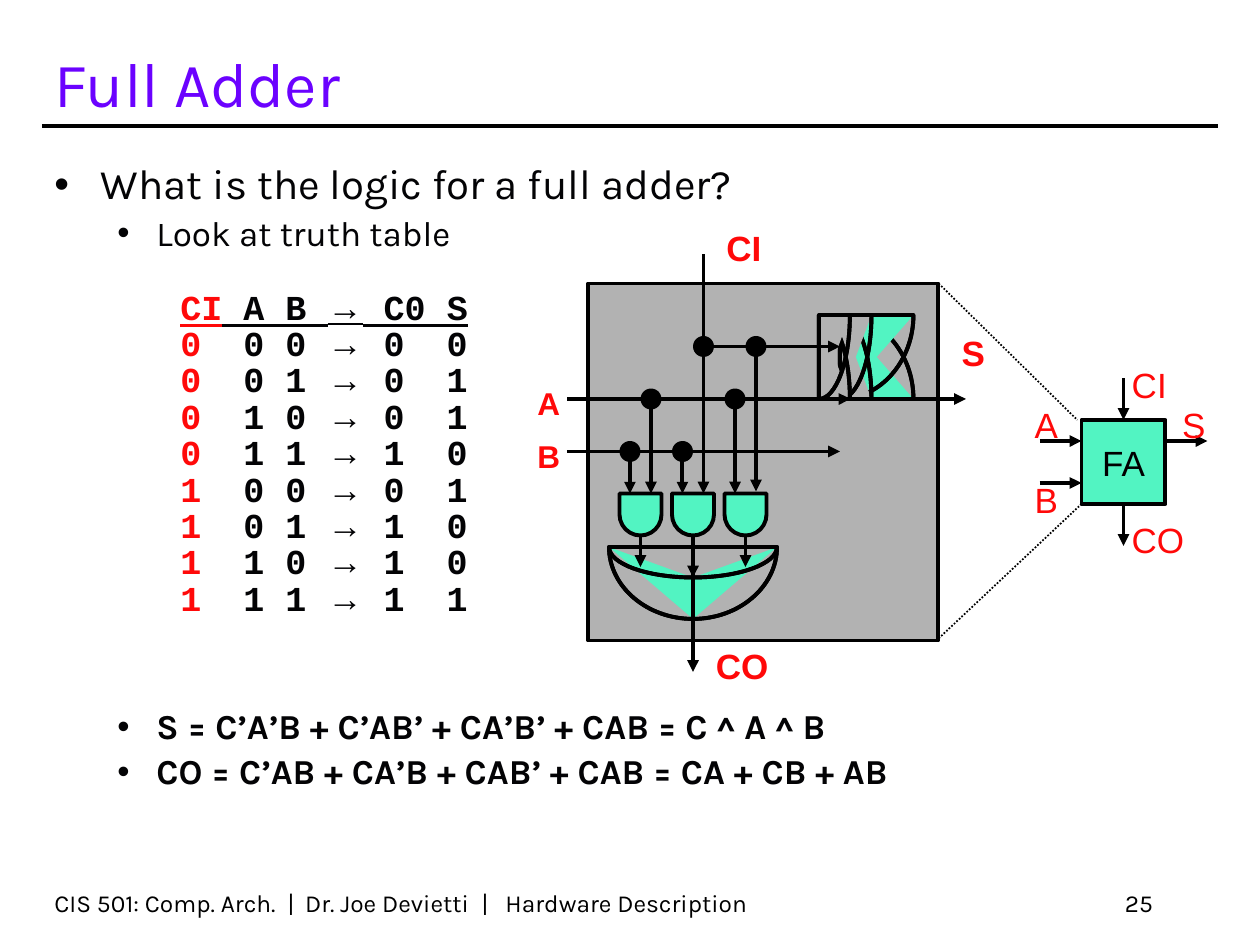
from lxml import etree
from pptx import Presentation
from pptx import util as u
from pptx.dml.color import RGBColor
from pptx.enum import dml, shapes, text
from pptx.oxml.ns import qn

COLUMNS = 120
ARC = 0.55  # handle length of a curve that follows a quarter ellipse
BLACK, INK, RED = "000000", "030305", "FF0909"
GREEN, GRAY, PURPLE = "52F4C2", "B2B2B2", "6B02FF"
TOP, BOTTOM, MIDDLE = text.MSO_ANCHOR.TOP, text.MSO_ANCHOR.BOTTOM, text.MSO_ANCHOR.MIDDLE
CENTER, RIGHT = text.PP_ALIGN.CENTER, text.PP_ALIGN.RIGHT


def rgb(color):
    return RGBColor.from_string(color)


class Board:
    """Draws on one slide; places and sizes are grid columns and rows."""

    def __init__(self, deck):
        self.slide = deck.slides.add_slide(deck.slide_layouts[6])
        self.shapes = self.slide.shapes
        self.unit = deck.slide_width / COLUMNS

    def span(self, *cells):
        return [u.Emu(round(cell * self.unit)) for cell in cells]

    def stroke(self, line, arrow=False, width=2.25, dotted=False):
        line.color.rgb = rgb(BLACK)
        line.width = u.Pt(width)
        if dotted:
            line.dash_style = dml.MSO_LINE.ROUND_DOT
        if arrow:
            ends = line._get_or_add_ln()
            etree.SubElement(ends, qn("a:tailEnd"), type="triangle")

    def wire(self, start, end, **stroke):
        wire = self.shapes.add_connector(
            shapes.MSO_CONNECTOR.STRAIGHT, *self.span(*start, *end))
        self.stroke(wire.line, **stroke)
        etree.SubElement(wire._element.spPr, qn("a:effectLst"))
        return wire

    def solid(self, kind, place, fill, outlined=True, turn=0):
        solid = self.shapes.add_shape(kind, *self.span(*place))
        solid.shadow.inherit = False
        solid.rotation = turn
        solid.fill.solid()
        solid.fill.fore_color.rgb = rgb(fill)
        if outlined:
            self.stroke(solid.line)
        else:
            solid.line.fill.background()
        return solid

    def dot(self, column, row):
        self.solid(shapes.MSO_SHAPE.FLOWCHART_CONNECTOR,
                   (column - 1, row - 1, 2, 2), BLACK, outlined=False)

    def elbow(self, start, turn_column, end_row):
        """An arrow that runs right and then down."""
        corner, end = (turn_column, start[1]), (turn_column, end_row)
        path = self.shapes.build_freeform(*self.span(*start))
        path.add_line_segments([self.span(*corner), self.span(*end)], close=False)
        elbow = path.convert_to_shape()
        elbow.shadow.inherit = False
        elbow.fill.background()
        self.stroke(elbow.line, arrow=True)

    def quarter(self, corner, dx, dy, fill):
        """A quarter ellipse: its arc, then the arc closed through the corner."""
        x, y = corner
        start, *arc = [self.span(x + dx * across, y + dy * down) for across, down in
                       ((0, 1), (ARC, 1), (1, ARC), (1, 0))]
        path = self.shapes.build_freeform(*start)
        path.add_line_segments(arc, close=False)
        path.move_to(*start)
        path.add_line_segments(arc + [self.span(x, y)], close=True)
        quarter = path.convert_to_shape()
        self.bend(quarter)
        quarter.shadow.inherit = False
        quarter.fill.solid()
        quarter.fill.fore_color.rgb = rgb(fill)
        self.stroke(quarter.line)

    def bend(self, outline):
        """Turn the three segments after each move into one curve."""
        for move in list(outline._element.iter(qn("a:moveTo"))):
            segments = list(move.itersiblings())[:3]
            curve = etree.Element(qn("a:cubicBezTo"))
            move.addnext(curve)
            for segment in segments:
                curve.append(segment[0])
                segment.getparent().remove(segment)

    def box(self, place, wrap=True, anchor=TOP):
        frame = self.shapes.add_textbox(*self.span(*place)).text_frame
        frame.word_wrap = wrap
        frame.vertical_anchor = anchor
        return frame

    def style(self, font, size, face, color, bold=False, underline=False):
        font.size, font.name = u.Pt(size), face
        font.color.rgb = rgb(color)
        font.bold, font.underline = bold, underline

    def caption(self, place, words, size, color, face="Karla", bold=False,
                wrap=True, anchor=BOTTOM, align=None, tabs=()):
        line = self.box(place, wrap, anchor).paragraphs[0]
        line.text = words
        line.alignment = align
        if tabs:
            stops = etree.SubElement(line._p.get_or_add_pPr(), qn("a:tabLst"))
            for stop in tabs:
                etree.SubElement(stops, qn("a:tab"), pos=str(u.Inches(stop)), algn="l")
        for run in line.runs:
            self.style(run.font, size, face, color, bold)

    def label(self, column, row, words, size=20, bold=False):
        width = {"CI": 5.75, "CO": 7.4}.get(words, 4.5)
        self.caption((column, row, width, 5.2), words, size, RED, "Arial", bold,
                     wrap=False, anchor=TOP)

    def paragraph(self, frame, margin, hang, spacing, before):
        first = not frame.paragraphs[0].runs
        line = frame.paragraphs[0] if first else frame.add_paragraph()
        layout = line._p.get_or_add_pPr()
        layout.set("marL", str(u.Inches(margin)))
        layout.set("indent", str(-u.Inches(hang)))
        line.line_spacing = spacing
        line.space_before = u.Pt(before)
        return line

    def bullet(self, frame, words, level=1, before=4, bold=False):
        margin, hang, size = [(0.37, 0.37, 24), (0.81, 0.31, 20)][level]
        line = self.paragraph(frame, margin, hang, 0.9, before)
        line.level = level
        layout = line._p.get_or_add_pPr()
        tint = etree.SubElement(layout, qn("a:buClr"))
        etree.SubElement(tint, qn("a:srgbClr"), val=INK)
        etree.SubElement(layout, qn("a:buFont"), typeface="Arial")
        etree.SubElement(layout, qn("a:buChar"), char="•")
        run = line.add_run()
        run.text = words
        self.style(run.font, size, "Karla", INK, bold)

    def truth_row(self, frame, carry, inputs, out, total, heading=False):
        """Digits marked wide fill the width of two characters."""
        line = self.paragraph(frame, 1.25, 0.25, 0.7, 24.4 if heading else 4)
        mono = "Courier New"
        for words, face, color, wide in ((carry, mono, RED, not heading),
                                         (f" {inputs} ", mono, INK, False),
                                         ("→", "Arial", INK, False),
                                         (" ", mono, INK, False),
                                         (out, mono, INK, not heading),
                                         (f" {total}", mono, INK, False)):
            run = line.add_run()
            run.text = words
            bold = not (heading and words == "→")
            self.style(run.font, 20, face, color, bold, heading)
            if wide:
                run.font._element.set("spc", "1200")


def draw_text(board):
    board.wire((4, 12), (116, 12))
    board.caption((4, 84, 75, 4), "CIS 501: Comp. Arch.\t|\tDr. Joe Devietti\t|\tHardware Description",
                  14, BLACK, tabs=(1.85, 1.99, 3.39, 3.58))
    board.caption((86, 84, 25, 4), "25", 14, BLACK, align=RIGHT)
    board.caption((4, 3, 106, 9), "Full Adder", 36, PURPLE)
    body = board.box((4, 15, 103, 67))
    board.bullet(body, "What is the logic for a full adder?", level=0, before=0)
    board.bullet(body, "Look at truth table")
    board.truth_row(body, "CI", "A B", "C0", "S", heading=True)
    for number in range(8):
        c, a, b = number >> 2, number >> 1 & 1, number & 1
        carry_out, total = divmod(a + b + c, 2)
        board.truth_row(body, str(c), f"{a} {b}", str(carry_out), total)
    board.bullet(body, "S = C’A’B + C’AB’ + CA’B’ + CAB = C ^ A ^ B", before=52.8, bold=True)
    board.bullet(body, "CO = C’AB + CA’B + CAB’ + CAB = CA + CB + AB", bold=True)


def draw_adder_symbol(board):
    symbol = board.solid(shapes.MSO_SHAPE.RECTANGLE, (103, 40, 8, 8), GREEN)
    frame = symbol.text_frame
    frame.text, frame.word_wrap, frame.vertical_anchor = "FA", False, MIDDLE
    frame.paragraphs[0].alignment = CENTER
    board.style(frame.paragraphs[0].runs[0].font, 20, "Arial", BLACK)
    for start_column, row in ((99, 42), (99, 46), (111, 42)):
        board.wire((start_column, row), (start_column + 4, row), arrow=True)
    board.wire((107, 48), (107, 52), arrow=True).begin_connect(symbol, 2)
    board.wire((107, 36), (107, 40), arrow=True).end_connect(symbol, 0)
    for column, row, words in ((97.35, 45, "B"), (111.4, 37.8, "S"), (106.6, 48.8, "CO"),
                               (97.35, 37.8, "A"), (106.6, 34, "CI")):
        board.label(column, row, words)


def draw_circuit(board):
    board.solid(shapes.MSO_SHAPE.RECTANGLE, (56, 27, 33.35, 34), GRAY)
    for gate in (59, 64, 69):
        board.solid(shapes.MSO_SHAPE.FLOWCHART_DELAY, (gate, 47, 4, 4), GREEN, turn=90)
    for start, turn in (((54, 43), 60), ((54, 38), 62), ((59, 43), 65), ((61, 38), 70)):
        board.elbow(start, turn, 47)
    for depth, fill in ((6.85, GREEN), (2.9, GRAY)):
        for half in (8, -8):
            board.quarter((66, 52.1), half, depth, fill)
    for column, end_row in ((66, 55), (71, 54), (61, 54)):
        board.wire((column, 51), (column, end_row), arrow=True)
    board.wire((87, 38), (92, 38), arrow=True)
    for column, width, fill in ((80, 7, GREEN), (80, 3, GRAY), (78, 2.95, GRAY)):
        board.quarter((column, 38), width, -8, fill)
        board.quarter((column, 30), width, 8, fill)
    for row, start, joint, end in ((38, 70, 77, 81), (33, 67, 79, 80), (43, 65, 77, 80)):
        board.wire((joint, row), (start, row))
        board.wire((77, row), (end, row), arrow=True)
    for column, start_row, end_row in ((66, 58.9, 64), (67, 24.2, 47), (72, 33, 46.8)):
        board.wire((column, start_row), (column, end_row), arrow=True)
    for junction in ((72, 33), (67, 33), (62, 38), (70, 38), (65, 43), (60, 43)):
        board.dot(*junction)
    for column, row, words, size in ((50, 36, "A", 18), (50, 41, "B", 18), (90.4, 31, "S", 20),
                                     (68, 21, "CI", 20), (67, 60.8, "CO", 20)):
        board.label(column, row, words, size, bold=True)


def main():
    deck = Presentation()
    deck.slide_width, deck.slide_height = u.Inches(10), u.Inches(7.5)
    board = Board(deck)
    draw_text(board)
    draw_adder_symbol(board)
    draw_circuit(board)
    for start, end in (((89.4, 60.8), (103, 48)), ((89.4, 27), (102.6, 40))):
        board.wire(start, end, width=1, dotted=True)
    deck.save("out.pptx")


if __name__ == "__main__":
    main()
